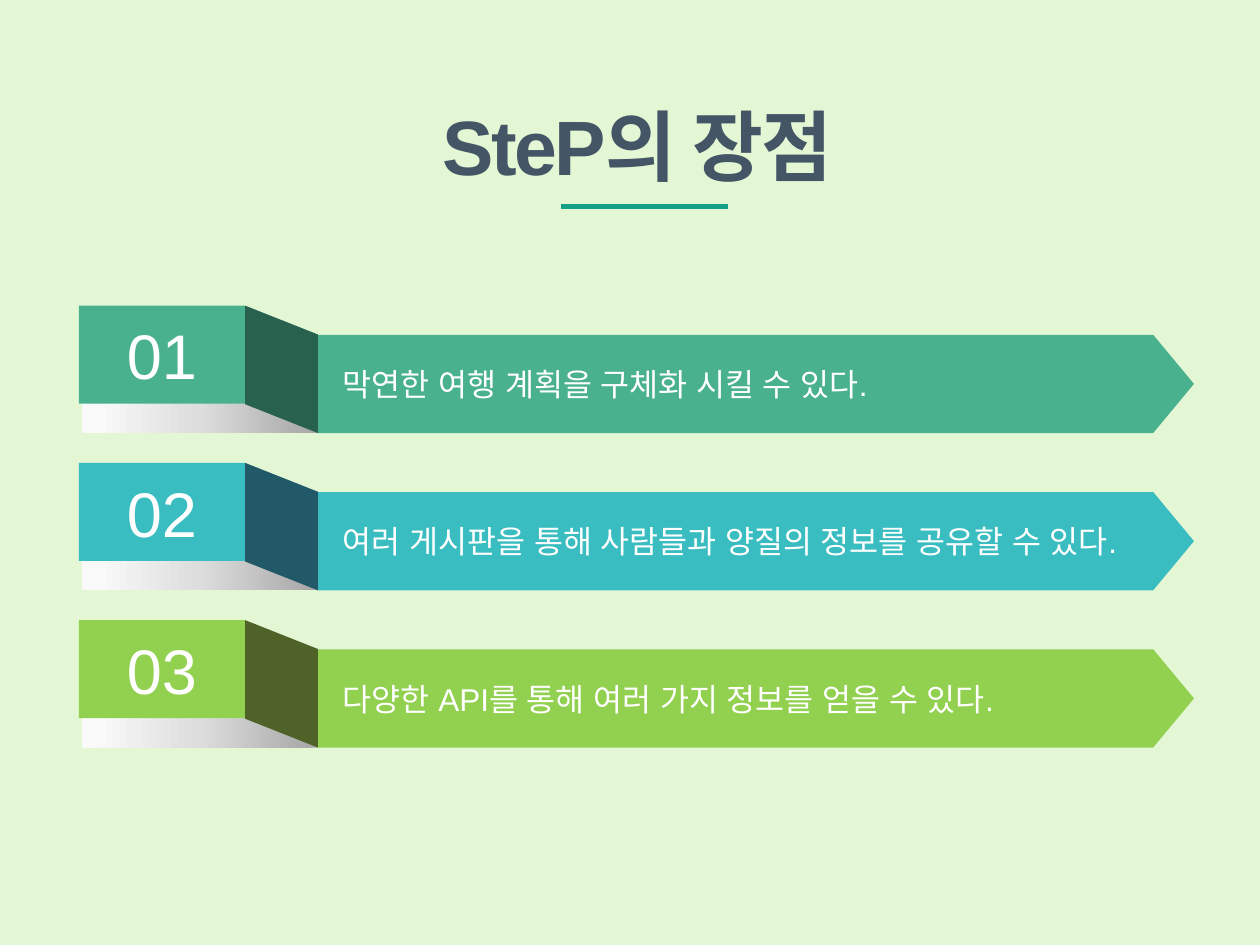
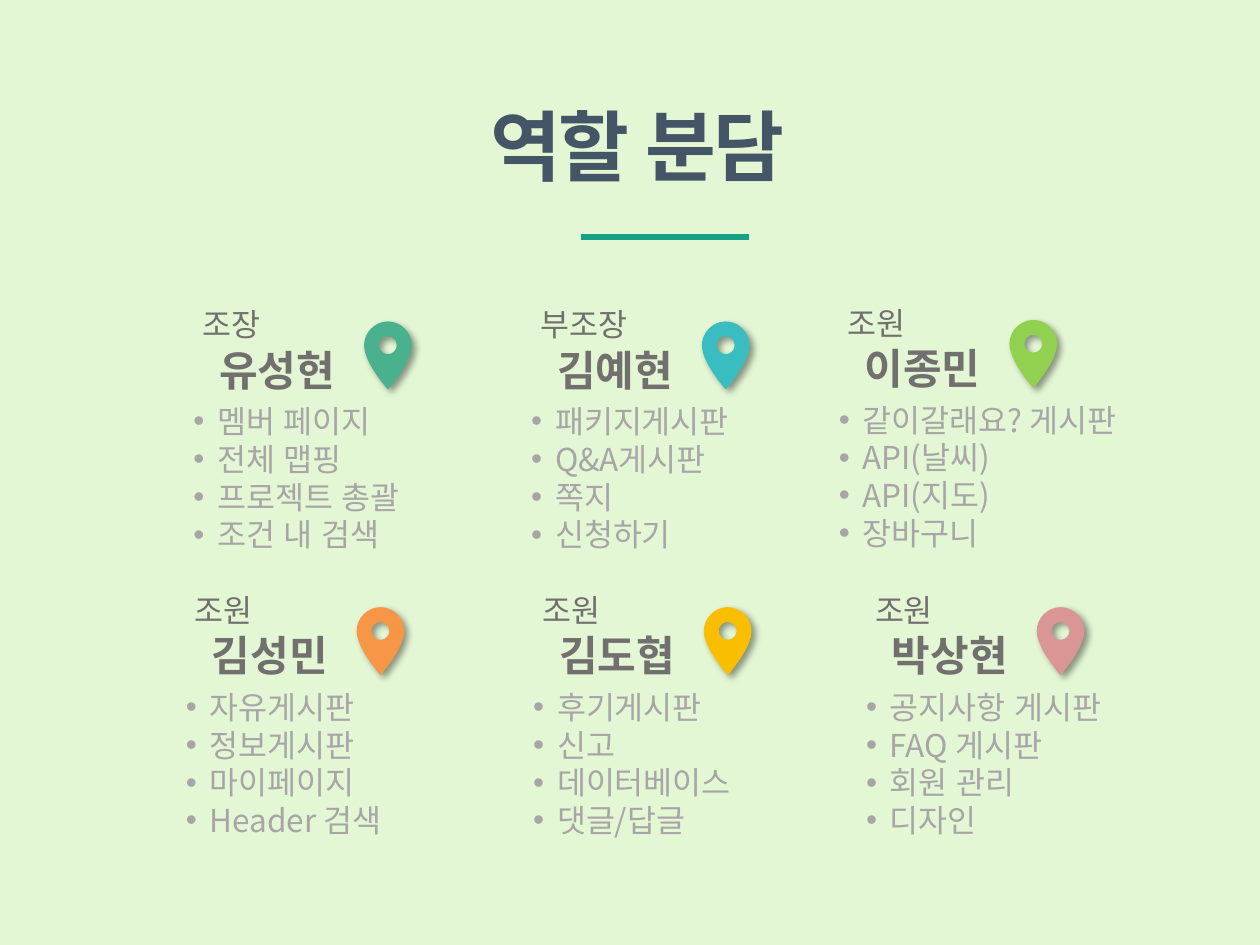
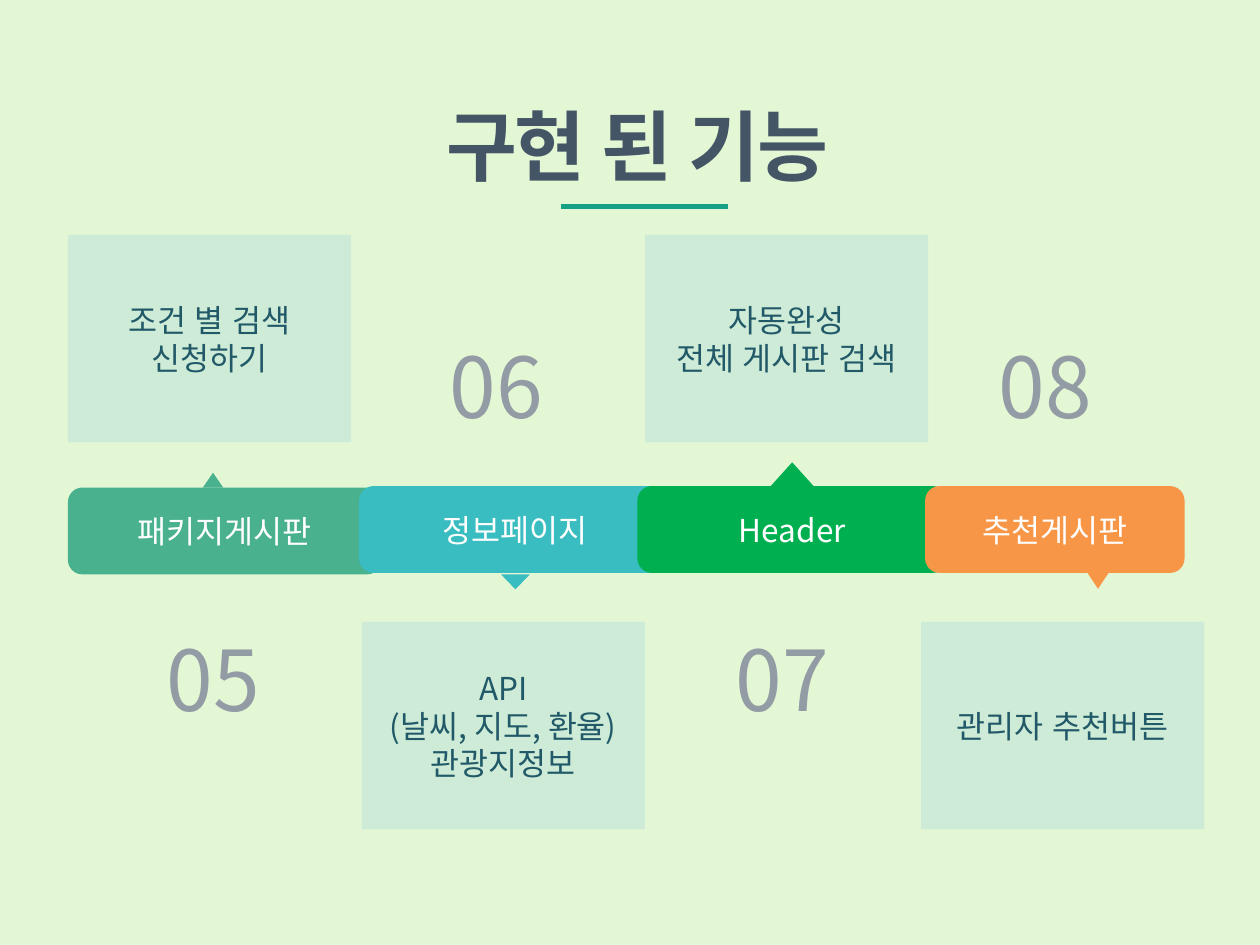
from lxml.etree import Element, SubElement
from pptx import Presentation
from pptx.dml.color import RGBColor
from pptx.enum.shapes import MSO_CONNECTOR, MSO_SHAPE
from pptx.enum.text import MSO_ANCHOR, MSO_AUTO_SIZE, PP_ALIGN
from pptx.oxml.ns import qn
from pptx.util import Cm, Pt

COLORS = {
    "background": "E4F7D5", "title": "445566", "rule": "16A085", "white": "FFFFFF",
    "green": "49B18E", "dark green": "28624F", "teal": "3ABDC0", "dark teal": "215968",
    "lime": "92D050", "dark lime": "4F6228", "orange": "F79646", "yellow": "FABE00",
    "pink": "D99694", "emerald": "00B050", "mint": "BEE4D7", "number": "939BA5",
    "name": "726F6F", "duty": "A7A5A6", "black": "000000",
}
HEADING_FONT = "Arial"
BODY_FONT = "Noto Sans CJK KR"

ADVANTAGES = [
    ("01", "막연한 여행 계획을 구체화 시킬 수 있다.", "green", "dark green"),
    ("02", "여러 게시판을 통해 사람들과 양질의 정보를 공유할 수 있다.", "teal", "dark teal"),
    ("03", "다양한 API를 통해 여러 가지 정보를 얻을 수 있다.", "lime", "dark lime"),
]
FOLD_SHADOW = [(0, "A6A6A6"), (50, "DDDDDD"), (93, "F9F9F9"), (100, "F9F9F9")]

# role, name, pin colour, left and top of the name, width of the duties, duties
MEMBERS = [
    ("조장", "유성현", "green", 4.42, 6.94, 5.23,
     ["멤버 페이지", "전체 맵핑", "프로젝트 총괄", "조건 내 검색"]),
    ("부조장", "김예현", "teal", 11.23, 6.94, 5.23,
     ["패키지게시판", "Q&A게시판", "쪽지", "신청하기"]),
    ("조원", "이종민", "lime", 17.43, 6.91, 6.63,
     ["같이갈래요? 게시판", "API(날씨)", "API(지도)", "장바구니"]),
    ("조원", "김성민", "orange", 4.27, 12.7, 5.79,
     ["자유게시판", "정보게시판", "마이페이지", "Header 검색"]),
    ("조원", "김도협", "yellow", 11.27, 12.7, 6.71,
     ["후기게시판", "신고", "데이터베이스", "댓글/답글"]),
    ("조원", "박상현", "pink", 17.98, 12.7, 6.5,
     ["공지사항 게시판", "FAQ 게시판", "회원 관리", "디자인"]),
]

# label, colour, bar (left, top, width), number, number left, detail left,
# pointer (left, top, width, height), detail lines
FEATURES = [
    ("패키지게시판", "green", (1.37, 9.83, 6.32), "05", 2.99, 1.37,
     (4.09, 9.53, 0.41, 0.3), ["조건 별 검색", "신청하기"]),
    ("정보페이지", "teal", (7.24, 9.8, 6.27), "06", 8.7, 7.29,
     (10.1, 11.58, 0.58, 0.3), ["API", "(날씨, 지도, 환율)", "관광지정보"]),
    ("Header", "emerald", (12.85, 9.8, 6.25), "07", 14.46, 13.0,
     (15.52, 9.32, 0.9, 0.5), ["자동완성", "전체 게시판 검색"]),
    ("추천게시판", "orange", (18.65, 9.8, 5.23), "08", 19.76, 18.57,
     (21.91, 11.53, 0.45, 0.34), ["관리자 추천버튼"]),
]


def color(name):
    return RGBColor.from_string(COLORS[name])


def write(shape, lines, size, color_name, font=BODY_FONT, align=PP_ALIGN.CENTER,
          anchor=MSO_ANCHOR.MIDDLE, bold=False, spacing=None, bullets=False):
    frame = shape.text_frame
    frame.word_wrap = True
    frame.vertical_anchor = anchor
    for index, line in enumerate(lines):
        paragraph = frame.add_paragraph() if index else frame.paragraphs[0]
        paragraph.alignment = align
        if bullets:
            properties = paragraph._p.get_or_add_pPr()
            properties.set("marL", str(Cm(0.48)))
            properties.set("indent", str(-Cm(0.48)))
            SubElement(properties, qn("a:buFont"), typeface="Arial")
            SubElement(properties, qn("a:buChar"), char="•")
        run = paragraph.add_run()
        run.text = line
        run.font.size = Pt(size)
        run.font.bold = bold
        run.font.name = font
        run.font.color.rgb = color(color_name)
        properties = run._r.get_or_add_rPr()
        SubElement(properties, qn("a:ea"), typeface=HEADING_FONT)
        if spacing:
            properties.set("spc", str(spacing))
    return frame


def add_text(slide, left, top, width, height, lines, size, color_name, inset=True, **style):
    box = slide.shapes.add_textbox(Cm(left), Cm(top), Cm(width), Cm(height))
    frame = write(box, lines, size, color_name, anchor=MSO_ANCHOR.TOP, **style)
    frame.auto_size = MSO_AUTO_SIZE.SHAPE_TO_FIT_TEXT
    if not inset:
        frame.margin_left = frame.margin_right = 0
        frame.margin_top = frame.margin_bottom = 0
        frame.word_wrap = False


def paint(shape, color_name):
    shape.shadow.inherit = False
    shape.line.fill.background()
    shape.fill.solid()
    shape.fill.fore_color.rgb = color(color_name)
    return shape


def add_block(slide, kind, left, top, width, height, color_name):
    shape = slide.shapes.add_shape(kind, Cm(left), Cm(top), Cm(width), Cm(height))
    return paint(shape, color_name)


def add_outline(slide, contours, color_name):
    """Draw closed contours, given as points in cm, as one shape."""
    first, *others = [[(Cm(x), Cm(y)) for x, y in contour] for contour in contours]
    builder = slide.shapes.build_freeform(*first[0])
    builder.add_line_segments(first[1:], close=True)
    for contour in others:
        builder.move_to(*contour[0])
        builder.add_line_segments(contour[1:], close=True)
    return paint(builder.convert_to_shape(), color_name)


def add_titled_slide(presentation, title, rule_left=11.3, rule_top=4.17):
    slide = presentation.slides.add_slide(presentation.slide_layouts[5])
    shape = slide.shapes.title
    shape.left, shape.top, shape.width, shape.height = Cm(7.06), Cm(1.85), Cm(11.58), Cm(2.13)
    frame = write(shape, [title], 44, "title", HEADING_FONT, anchor=MSO_ANCHOR.TOP,
                  bold=True, spacing=-150)
    frame.auto_size = MSO_AUTO_SIZE.SHAPE_TO_FIT_TEXT
    rule = slide.shapes.add_connector(MSO_CONNECTOR.STRAIGHT, Cm(rule_left), Cm(rule_top),
                                      Cm(rule_left + 3.38), Cm(rule_top))
    rule.line.color.rgb = color("rule")
    rule.line.width = Pt(3)
    SubElement(rule._element.spPr, qn("a:effectLst"))
    return slide


def add_fold_shadow(slide, top):
    bottom = top + 2.57
    points = [(1.65, top), (4.6, top), (6.4, bottom), (1.65, bottom)]
    shape = add_outline(slide, [points], "white")
    shape.fill.gradient()
    shape.fill.gradient_angle = 180
    stops = next(shape._element.iter(qn("a:gsLst")))
    for stop in list(stops):
        stops.remove(stop)
    for position, value in FOLD_SHADOW:
        stop = SubElement(stops, qn("a:gs"), pos=str(position * 1000))
        SubElement(stop, qn("a:srgbClr"), val=value)


def add_advantage(slide, top, number, text, face, fold):
    height = 1.98
    add_fold_shadow(slide, top)
    tab = add_block(slide, MSO_SHAPE.RECTANGLE, 1.59, top, 3.35, height, face)
    write(tab, [number], 36, "white", HEADING_FONT)
    arrow = add_block(slide, MSO_SHAPE.PENTAGON, 6.4, top + 0.59, 17.67, height, face)
    arrow.adjustments[0] = 0.415
    frame = write(arrow, [text], 18, "white", HEADING_FONT, PP_ALIGN.LEFT)
    frame.margin_left = frame.margin_right = Cm(0.51)
    side = add_block(slide, MSO_SHAPE.PARALLELOGRAM, 4.39, top + 0.55, 2.57, 1.47, fold)
    side.adjustments[0] = 0.396
    side.rotation = 270


def bend_segments(shape, controls):
    """Turn each line of an outline into a curve with two control points in cm."""
    lines = list(shape._element.iter(qn("a:lnTo")))
    for line, pair in zip(lines, controls):
        curve = Element(qn("a:cubicBezTo"))
        for x, y in pair:
            SubElement(curve, qn("a:pt"), x=str(Cm(x)), y=str(Cm(y)))
        curve.append(line[0])
        line.getparent().replace(line, curve)


def add_pin(slide, left, top, color_name):
    middle, height, hole = 0.48, 1.37, 0.18
    high, low = middle - hole, middle + hole
    outer = [(middle, 0), (0, middle), (middle, height), (2 * middle, middle), (middle, 0)]
    inner = [(middle, low), (high, middle), (middle, high), (low, middle), (middle, low)]
    near, far, shoulder = 0.22, 0.74, 0.84
    hole_near, hole_far = 0.38, 0.58
    controls = [
        [(near, 0), (0, near)], [(0, shoulder), (middle, height)],
        [(middle, height), (2 * middle, shoulder)], [(2 * middle, near), (far, 0)],
        [(hole_near, low), (high, hole_far)], [(high, hole_near), (hole_near, high)],
        [(hole_far, high), (low, hole_near)], [(low, hole_far), (hole_far, low)],
    ]
    contours = [[(left + x, top + y) for x, y in contour] for contour in (outer, inner)]
    pin = add_outline(slide, contours, color_name)
    bend_segments(pin, controls)
    effects = pin._element.spPr.find(qn("a:effectLst"))
    shadow = SubElement(effects, qn("a:outerShdw"), blurRad=str(Pt(4)), dist=str(Pt(3)),
                        dir=str(45 * 60000), algn="tl", rotWithShape="0")
    shade = SubElement(shadow, qn("a:srgbClr"), val=COLORS["black"])
    SubElement(shade, qn("a:alpha"), val="40000")


def add_member(slide, role, name, pin_color, left, top, duties_width, duties):
    plain = {"font": HEADING_FONT, "align": PP_ALIGN.LEFT, "inset": False}
    add_text(slide, left, top, 2.57, 1.02, [name], 24, "name", bold=True, **plain)
    add_text(slide, left - 0.77, top + 1.04, duties_width, 3.33, duties, 18, "duty",
             align=PP_ALIGN.LEFT, bullets=True)
    add_pin(slide, left + 2.92, top - 0.46, pin_color)
    role_width = 0.64 * len(role)
    add_text(slide, left - 0.34, top - 0.79, role_width, 0.76, [role], 18, "name", **plain)


def add_bar(slide, label, color_name, left, top, width):
    bar = add_block(slide, MSO_SHAPE.ROUNDED_RECTANGLE, left, top, width, 1.75, color_name)
    write(bar, [label], 18, "white")


def add_detail(slide, above, color_name, number, number_left, detail_left, pointer, lines):
    """Place the detail box on one side of the bar and the number on the other."""
    add_text(slide, number_left, 12.52 if above else 6.62, 2.62, 2.31, [number], 48, "number")
    box = add_block(slide, MSO_SHAPE.RECTANGLE, detail_left, 4.73 if above else 12.53,
                    5.71, 4.19, "mint")
    fill_color = next(box._element.spPr.iter(qn("a:srgbClr")))
    SubElement(fill_color, qn("a:alpha"), val="58000")
    write(box, lines, 18, "dark teal")
    triangle = add_block(slide, MSO_SHAPE.ISOSCELES_TRIANGLE, *pointer, color_name)
    triangle.rotation = 0 if above else 180


def main():
    presentation = Presentation()
    presentation.slide_width, presentation.slide_height = Cm(25.4), Cm(19.05)
    background = presentation.slide_master.background.fill
    background.solid()
    background.fore_color.rgb = color("background")

    slide = add_titled_slide(presentation, "SteP의 장점")
    for row, advantage in enumerate(ADVANTAGES):
        add_advantage(slide, 6.16 + 3.17 * row, *advantage)

    slide = add_titled_slide(presentation, "역할 분담", 11.71, 4.78)
    for member in MEMBERS:
        add_member(slide, *member)

    slide = add_titled_slide(presentation, "구현 된 기능")
    for label, color_name, bar, *_ in FEATURES:
        add_bar(slide, label, color_name, *bar)
    for index, (_, color_name, _, *detail) in enumerate(FEATURES):
        add_detail(slide, index % 2 == 0, color_name, *detail)

    presentation.save("out.pptx")


if __name__ == "__main__":
    main()
